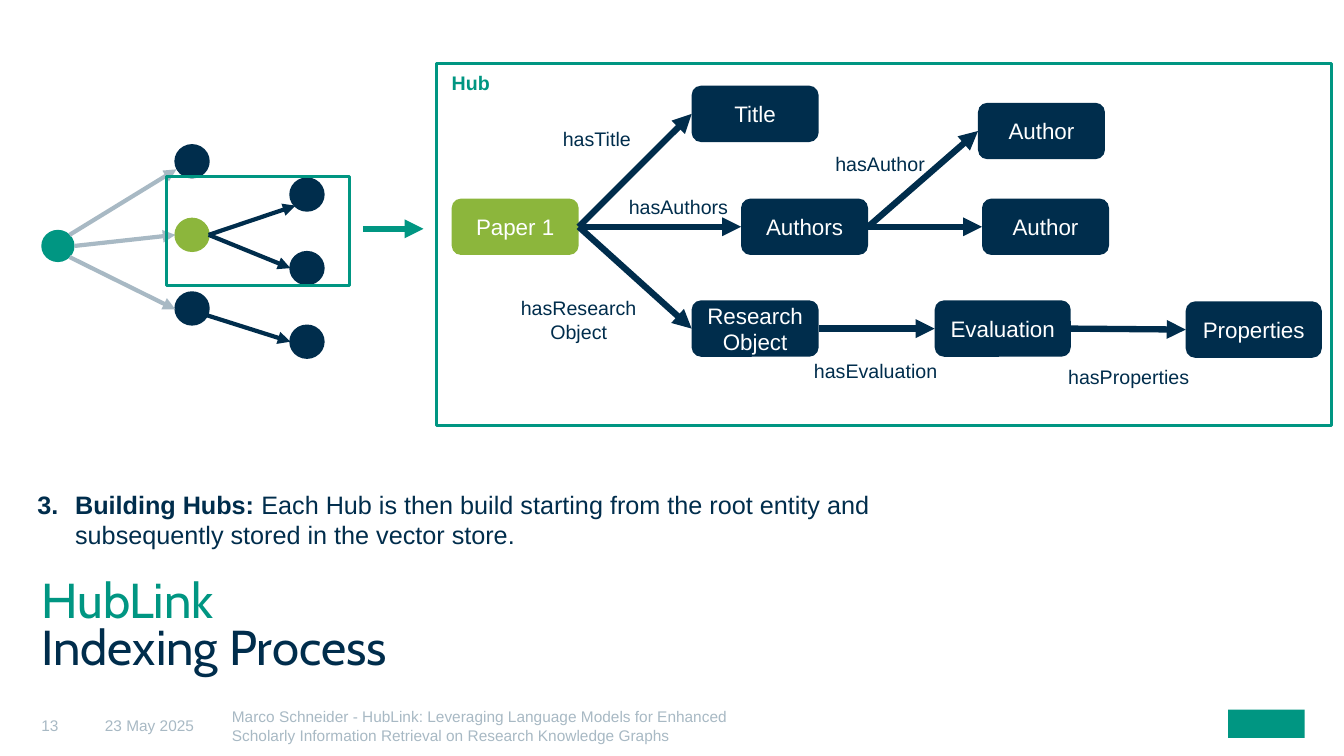
"""Builds the HubLink indexing slide, with lengths in grid cells of a tenth of an inch."""
import pptx
import pptx.util
import pptx.dml.color
import pptx.enum.shapes
import pptx.enum.text
import pptx.oxml.ns
from lxml import etree

COLORS = {"green": "009682", "navy": "002D4C", "lime": "8CB63C", "grey": "A8B9C4", "white": "FFFFFF"}
SHAPES = pptx.enum.shapes.MSO_SHAPE
ALIGN = pptx.enum.text.PP_ALIGN
ANCHOR = pptx.enum.text.MSO_ANCHOR
qn = pptx.oxml.ns.qn


def cells(count):
    return pptx.util.Inches(count / 10)


def color(name):
    return pptx.dml.color.RGBColor.from_string(COLORS[name])


class Sheet:
    def __init__(self, slide, font="Arial"):
        self.slide = slide
        self.font = font

    def place(self, shape, column, row, width, height):
        shape.left, shape.top, shape.width, shape.height = map(cells, (column, row, width, height))

    def add_run(self, paragraph, text, size, ink, bold=False, font=None):
        for index, line in enumerate(text.split("\n")):
            if index:
                paragraph.add_line_break()
                line_break = paragraph._p.findall(qn("a:br"))[-1]
                etree.SubElement(line_break, qn("a:rPr"), sz=str(size * 100))
            run = paragraph.add_run()
            run.text = line
            run.font.size = pptx.util.Pt(size)
            run.font.name = font or self.font
            run.font.bold = bold
            run.font.color.rgb = color(ink)

    def prepare(self, shape, anchor, insets):
        frame = shape.text_frame
        frame.word_wrap = True
        frame.auto_size = pptx.enum.text.MSO_AUTO_SIZE.NONE
        frame.vertical_anchor = anchor
        frame.margin_left, frame.margin_top, frame.margin_right, frame.margin_bottom = map(cells, insets)
        return frame.paragraphs[0]

    def title(self, area, lines):
        shape = self.slide.shapes.title
        self.place(shape, *area)
        paragraph = self.prepare(shape, ANCHOR.TOP, (0, 0, 0, 0))
        paragraph.alignment = ALIGN.LEFT
        paragraph.line_spacing = 0.8
        for text, ink in lines:
            self.add_run(paragraph, text, 35, ink, font="Cabin")

    def numbered_step(self, area, number, heading, text):
        shape = self.slide.placeholders[1]
        self.place(shape, *area)
        paragraph = self.prepare(shape, ANCHOR.TOP, (1, 0.5, 1, 0.5))
        properties = paragraph._p.get_or_add_pPr()
        indent = cells(3.75)
        properties.set("marL", str(indent))
        properties.set("indent", str(-indent))
        etree.SubElement(properties, qn("a:buFont"), typeface=self.font)
        etree.SubElement(properties, qn("a:buAutoNum"), type="arabicPeriod", startAt=str(number))
        paragraph.space_before = pptx.util.Pt(0)
        self.add_run(paragraph, heading, 18, "navy", bold=True)
        self.add_run(paragraph, text, 18, "navy")

    def label(self, area, text, ink="navy", bold=False):
        shape = self.slide.shapes.add_textbox(*map(cells, area))
        paragraph = self.prepare(shape, ANCHOR.TOP, (1, 0.5, 1, 0.5))
        paragraph.alignment = ALIGN.CENTER
        self.add_run(paragraph, text, 14, ink, bold)

    def footer(self, column, width, text):
        shape = self.slide.shapes.add_textbox(*map(cells, (column, 68.6, width, 6.4)))
        paragraph = self.prepare(shape, ANCHOR.MIDDLE, (0, 0.4, 0, 0))
        self.add_run(paragraph, text, 11, "grey")

    def shape(self, kind, area, fill=None, line=None, weight=1.5):
        shape = self.slide.shapes.add_shape(kind, *map(cells, area))
        shape.shadow.inherit = False
        if fill:
            shape.fill.solid()
            shape.fill.fore_color.rgb = color(fill)
        else:
            shape.fill.background()
        if line:
            shape.line.color.rgb = color(line)
            shape.line.width = pptx.util.Pt(weight)
        else:
            shape.line.fill.background()
        return shape

    def node(self, column, row, fill, line=None):
        self.shape(SHAPES.OVAL, (column, row, 3.3, 3.2), fill, line)

    def box(self, column, row, text, width=12.6, fill="navy"):
        shape = self.shape(SHAPES.ROUNDED_RECTANGLE, (column, row, width, 5.6), fill)
        paragraph = self.prepare(shape, ANCHOR.MIDDLE, (1, 0.5, 1, 0.5))
        paragraph.alignment = ALIGN.CENTER
        self.add_run(paragraph, text, 16, "white")
        return shape

    def arrow(self, points, ink, weight):
        connector = self.slide.shapes.add_connector(
            pptx.enum.shapes.MSO_CONNECTOR.STRAIGHT, *map(cells, points))
        connector.line.color.rgb = color(ink)
        connector.line.width = pptx.util.Pt(weight)
        etree.SubElement(connector.line._get_or_add_ln(), qn("a:tailEnd"), type="triangle")
        etree.SubElement(connector._element.spPr, qn("a:effectLst"))
        return connector

    def join(self, source, target):
        connector = self.arrow((0, 0, 1, 1), "navy", 4.5)
        connector.begin_connect(source, 3)
        connector.end_connect(target, 1)


def main():
    presentation = pptx.Presentation()
    presentation.slide_width = pptx.util.Inches(13.33)
    presentation.slide_height = pptx.util.Inches(7.5)
    sheet = Sheet(presentation.slides.add_slide(presentation.slide_layouts[1]))

    sheet.title((4.1, 57.6, 61.4, 11.1), [("HubLink\n", "green"), ("Indexing Process", "navy")])
    sheet.numbered_step(
        (2.7, 48, 85.2, 7.1), 3, "Building Hubs: ",
        "Each Hub is then build starting from the root entity and subsequently stored in the vector store.")
    sheet.footer(4.1, 6.3, "13")
    sheet.footer(10.4, 12.6, "23 May 2025")
    sheet.footer(23, 50, "Marco Schneider - HubLink: Leveraging Language Models for Enhanced "
                 "Scholarly Information Retrieval on Research Knowledge Graphs")
    sheet.shape(SHAPES.RECTANGLE, (121.8, 70.4, 7.6, 2.8), "green")

    sheet.node(4.1, 22.8, "green")
    for index, fill in enumerate(("navy", "lime", "navy")):
        sheet.node(17.4, 14.4 + 7.3 * index, fill, fill)
        sheet.node(28.8, 17.7 + 7.3 * index, "navy", "navy")
    for points in ((6.9, 23.3, 17.5, 16.8), (7.4, 24.4, 17.4, 23.3), (6.9, 25.5, 17.4, 30.7)):
        sheet.arrow(points, "grey", 3)
    for points in ((20.7, 23.3, 29.3, 20.4), (20.7, 23.3, 28.8, 26.6), (18.7, 30.7, 28.8, 33.9)):
        sheet.arrow(points, "navy", 3)

    paper = sheet.box(44.8, 19.7, "Paper 1", fill="lime")
    title = sheet.box(68.6, 8.5, "Title")
    research = sheet.box(68.6, 29.8, "Research\nObject")
    evaluation = sheet.box(92.7, 29.8, "Evaluation", 13.5)
    properties = sheet.box(117.6, 29.9, "Properties", 13.5)
    authors = sheet.box(73.5, 19.7, "Authors")
    first_author = sheet.box(97, 10.2, "Author")
    second_author = sheet.box(97.4, 19.7, "Author")
    for source, target in (
        (paper, title), (paper, authors), (paper, research), (authors, first_author),
        (authors, second_author), (research, evaluation), (evaluation, properties),
    ):
        sheet.join(source, target)

    for column, row, width, text in (
        (52.4, 12.1, 13.6, "hasTitle"),
        (60.5, 18.8, 13.6, "hasAuthors"),
        (50.6, 28.9, 13.6, "hasResearch\nObject"),
        (80.5, 14.6, 13.6, "hasAuthor"),
        (79.3, 35.1, 15.1, "hasEvaluation"),
        (104.4, 35.7, 15.1, "hasProperties"),
    ):
        sheet.label((column, row, width, 5.7 if "\n" in text else 3.4), text)

    sheet.shape(SHAPES.RECTANGLE, (16.5, 17.5, 18.2, 10.8), line="green", weight=2.25)
    sheet.arrow((36, 22.7, 42, 22.7), "green", 4.5)
    sheet.shape(SHAPES.RECTANGLE, (43.3, 6.3, 88.8, 35.9), line="green", weight=2.25)
    sheet.label((39.9, 6.5, 13.6, 3.4), "Hub", "green", True)

    presentation.save("out.pptx")


if __name__ == "__main__":
    main()
